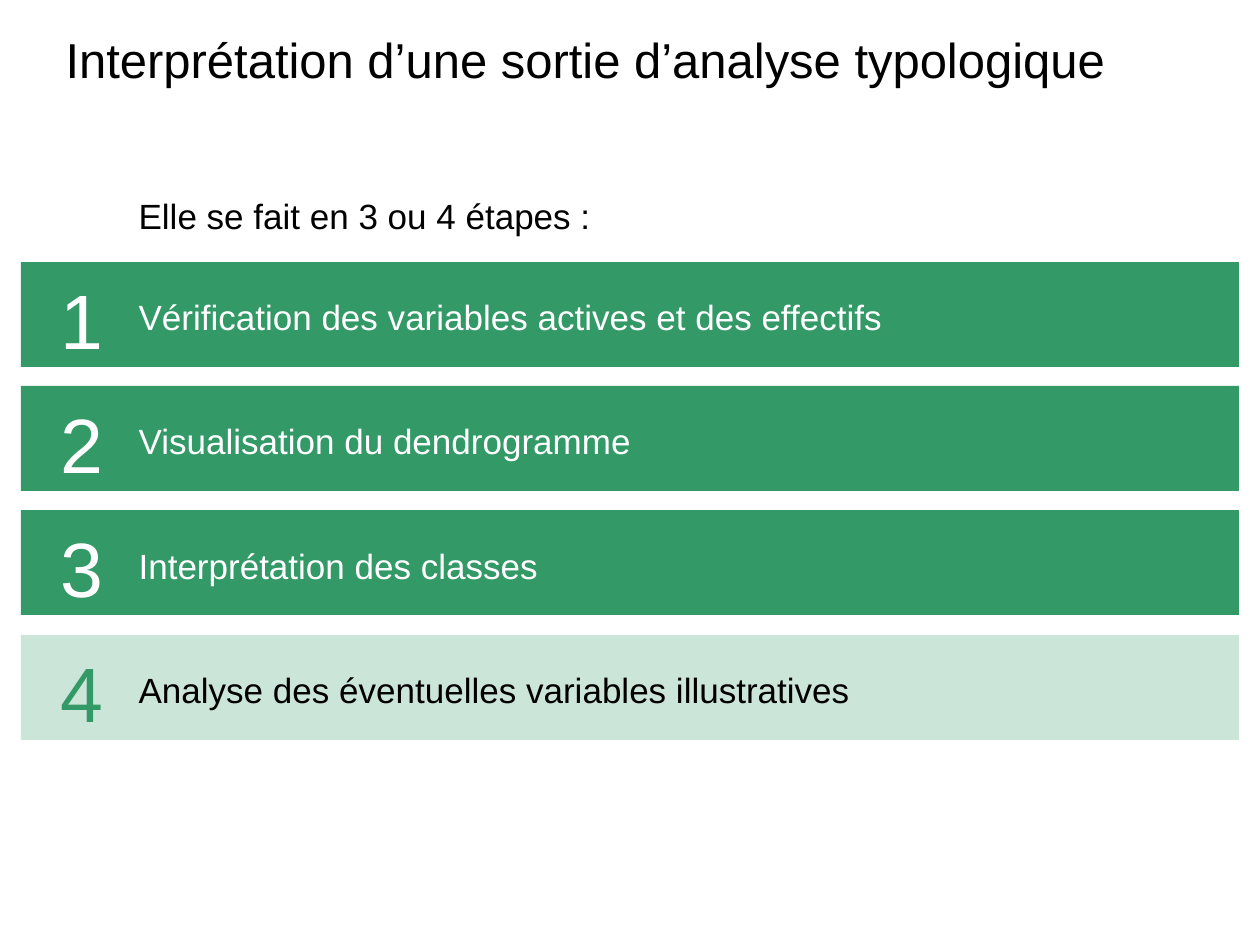
from dataclasses import dataclass

from lxml.etree import SubElement
from pptx import Presentation
from pptx.dml.color import RGBColor
from pptx.enum.shapes import MSO_SHAPE
from pptx.enum.text import MSO_ANCHOR, MSO_AUTO_SIZE, PP_ALIGN
from pptx.oxml.ns import qn
from pptx.util import Emu, Pt

PIXELS_PER_INCH = 126
GREEN, PALE_GREEN, WHITE, BLACK = "339966", "CCE5D9", "FFFFFF", "000000"
BAR_LEFT, BAR_TOP, BAR_WIDTH, BAR_HEIGHT = 21, 262, 1218, 105
THREE_BAR_PITCHES = 373


@dataclass(frozen=True)
class Step:
    label: str
    fill: str = GREEN
    number_color: str = WHITE
    label_color: str = WHITE


STEPS = [
    Step("Vérification des variables actives et des effectifs"),
    Step("Visualisation du dendrogramme"),
    Step("Interprétation des classes"),
    Step("Analyse des éventuelles variables illustratives", PALE_GREEN, GREEN, BLACK),
]


def px(length: int) -> Emu:
    return Emu(round(length * 914400 / PIXELS_PER_INCH))


def color(value: str) -> RGBColor:
    return RGBColor.from_string(value)


def apply_format(target, values: dict) -> None:
    for name, value in values.items():
        setattr(target, name, value)


def place(shape, left: int, top: int, width: int, height: int) -> None:
    apply_format(shape, {"left": px(left), "top": px(top),
                         "width": px(width), "height": px(height)})


def write(paragraph, text: str, size: int, text_color: str, **values) -> None:
    run = paragraph.add_run()
    run.text = text
    apply_format(run.font, {"name": "Arial", "size": Pt(size)})
    run.font.color.rgb = color(text_color)
    apply_format(paragraph, values)


def remove_bullet(paragraph) -> None:
    properties = paragraph._p.get_or_add_pPr()
    properties.set("marL", "0")
    properties.set("indent", "0")
    SubElement(properties, qn("a:buNone"))


def bar_top(index: int) -> int:
    return BAR_TOP + THREE_BAR_PITCHES * index // 3


def draw_bar(slide, index: int, step: Step) -> None:
    bar = slide.shapes.add_shape(MSO_SHAPE.RECTANGLE, px(BAR_LEFT), px(bar_top(index)),
                                 px(BAR_WIDTH), px(BAR_HEIGHT))
    bar.shadow.inherit = False
    bar.fill.solid()
    bar.fill.fore_color.rgb = color(step.fill)
    bar.line.fill.background()


def draw_number(slide, index: int, step: Step) -> None:
    box = slide.shapes.add_textbox(px(BAR_LEFT), px(bar_top(index) + 4), px(95), px(BAR_HEIGHT))
    apply_format(box.text_frame, {"word_wrap": True, "vertical_anchor": MSO_ANCHOR.BOTTOM})
    write(box.text_frame.paragraphs[0], str(index + 1), 44, step.number_color,
          alignment=PP_ALIGN.RIGHT)


def fill_title(title) -> None:
    place(title, 53, 30, 1155, 81)
    apply_format(title.text_frame, {"word_wrap": True, "auto_size": MSO_AUTO_SIZE.NONE,
                                    "vertical_anchor": MSO_ANCHOR.TOP})
    write(title.text_frame.paragraphs[0], "Interprétation d’une sortie d’analyse typologique",
          28, BLACK, alignment=PP_ALIGN.LEFT, line_spacing=0.9)


def fill_body(body) -> None:
    place(body, 126, 200, 1050, 610)
    frame = body.text_frame
    apply_format(frame, {"word_wrap": True, "auto_size": MSO_AUTO_SIZE.NONE,
                         "vertical_anchor": MSO_ANCHOR.TOP})
    introduction = frame.paragraphs[0]
    write(introduction, "Elle se fait en 3 ou 4 étapes :", 20, BLACK,
          line_spacing=Pt(17), space_before=Pt(3), space_after=Pt(20))
    remove_bullet(introduction)
    for step in STEPS:
        paragraph = frame.add_paragraph()
        write(paragraph, step.label, 20, step.label_color, level=1,
              line_spacing=Pt(19), space_before=Pt(19), space_after=Pt(33))
        remove_bullet(paragraph)


def main() -> None:
    presentation = Presentation()
    apply_format(presentation, {"slide_width": px(1260), "slide_height": px(945)})
    slide = presentation.slides.add_slide(presentation.slide_layouts[1])
    title, body = slide.shapes.title, slide.placeholders[1]
    for index, step in enumerate(STEPS):
        draw_bar(slide, index, step)
    for placeholder in (body, title):
        slide.shapes._spTree.append(placeholder._element)
    fill_body(body)
    fill_title(title)
    for index, step in enumerate(STEPS):
        draw_number(slide, index, step)
    presentation.save("out.pptx")


if __name__ == "__main__":
    main()
